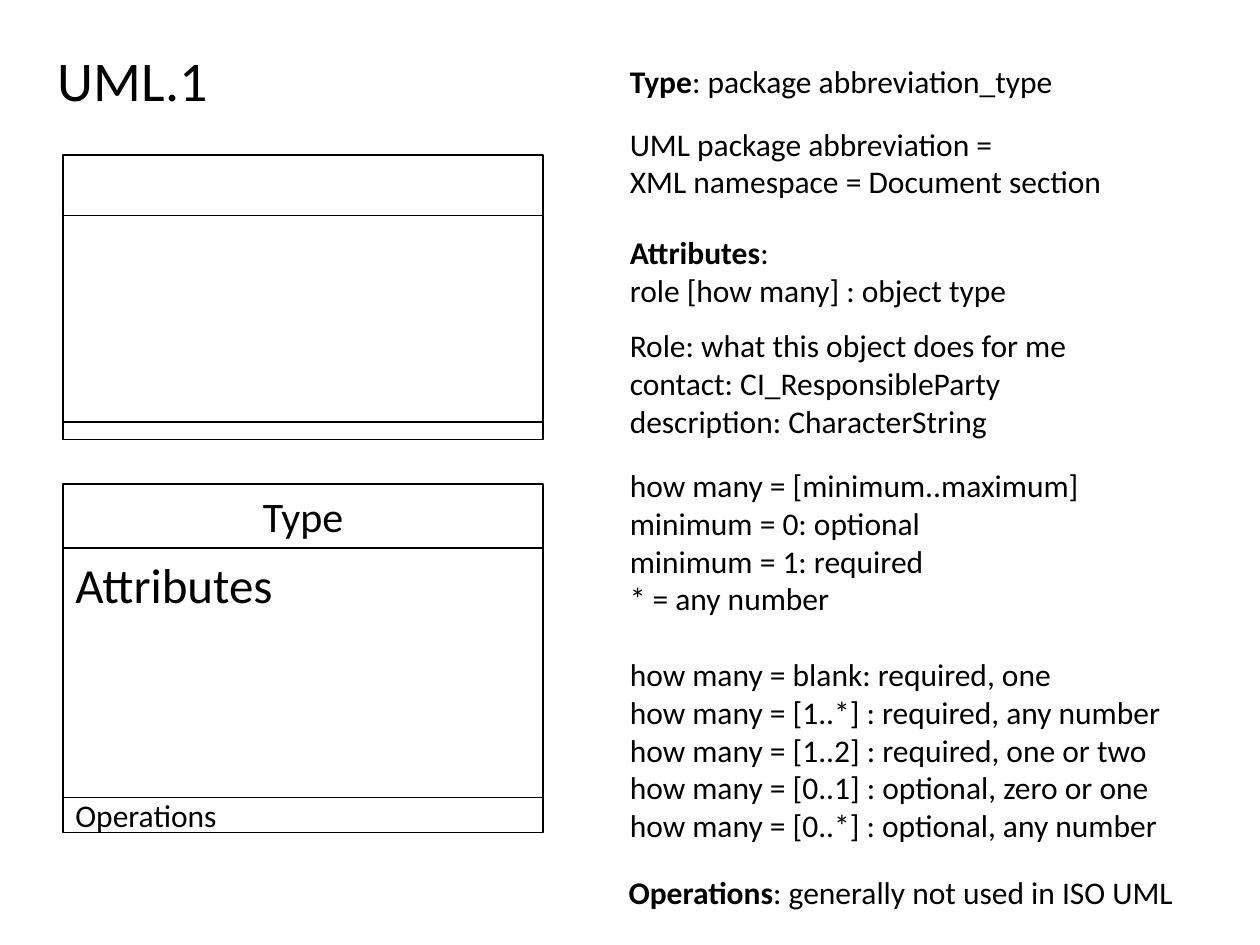
from pptx import Presentation
from pptx.dml.color import RGBColor
from pptx.enum.shapes import MSO_SHAPE as Shape
from pptx.enum.text import MSO_ANCHOR as Anchor, PP_ALIGN as Align
from pptx.util import Emu, Pt

EMU_PER_PX = 9144
FONT = "Calibri"
BLACK, WHITE = "000000", "FFFFFF"
LEFT, CLASS_WIDTH = 50, 381
NOTE_LEFT = 490
LINE_GAP = 21.6

EMPTY_CLASS = [(48, "", {}), (164, "", {}), (14, "", {})]
LABELLED_CLASS = [
    (51, "Type", {"size": 24, "align": Align.CENTER}),
    (198, "Attributes", {"size": 28}),
    (28, "Operations", {"anchor": Anchor.MIDDLE}),
]
NOTES = [
    ((NOTE_LEFT, 44, 390, 40), [[("Type", ": package abbreviation_type")]]),
    ((NOTE_LEFT, 94, 439, 71),
     [["UML package abbreviation =", "XML namespace = Document section"]]),
    ((NOTE_LEFT, 180, 341, 71), [[("Attributes", ":"), "role [how many] : object type"]]),
    ((NOTE_LEFT, 254, 400, 101),
     [["Role: what this object does for me", "contact: CI_ResponsibleParty",
       "description: CharacterString"]]),
    ((NOTE_LEFT, 365, 477, 313),
     [["how many = [minimum..maximum]", "minimum = 0: optional",
       "minimum = 1: required", "* = any number"],
      ["how many = blank: required, one", "how many = [1..*] : required, any number",
       "how many = [1..2] : required, one or two",
       "how many = [0..1] : optional, zero or one",
       "how many = [0..*] : optional, any number"]]),
    ((489, 688, 511, 40), [[("Operations", ": generally not used in ISO UML")]]),
]


def px(*lengths):
    """Turn pixel lengths into EMU."""
    return [Emu(length * EMU_PER_PX) for length in lengths]


def color(value):
    """Turn a hex string into a colour."""
    return RGBColor.from_string(value)


def add_run(paragraph, text, size=18, bold=False):
    """Append one formatted run to a paragraph."""
    run = paragraph.add_run()
    run.text = text
    run.font.name = FONT
    run.font.size = Pt(size)
    run.font.bold = bold
    run.font.color.rgb = color(BLACK)


def write(shape, groups, size=18, align=Align.LEFT, anchor=Anchor.TOP):
    """Write groups of lines into a shape; a pair is a bold term and its rest."""
    frame = shape.text_frame
    frame.word_wrap = True
    frame.vertical_anchor = anchor
    paragraph = None
    for group_index, lines in enumerate(groups):
        for line_index, line in enumerate(lines):
            paragraph = frame.add_paragraph() if paragraph else frame.paragraphs[0]
            paragraph.alignment = align
            if group_index and not line_index:
                paragraph.space_before = Pt(LINE_GAP)
            term, rest = line if isinstance(line, tuple) else ("", line)
            if term:
                add_run(paragraph, term, size, bold=True)
            add_run(paragraph, rest, size)


def add_title(slide, box, text):
    """Place and fill the title placeholder."""
    title = slide.shapes.title
    title.left, title.top, title.width, title.height = px(*box)
    write(title, [[text]], size=32, anchor=Anchor.MIDDLE)


def add_class_box(slide, left, top, width, rows):
    """Stack the compartments of a UML class in one group."""
    group = slide.shapes.add_group_shape()
    for height, text, text_format in rows:
        shape = group.shapes.add_shape(Shape.RECTANGLE, *px(left, top, width, height))
        shape.shadow.inherit = False
        shape.fill.solid()
        shape.fill.fore_color.rgb = color(WHITE)
        shape.line.color.rgb = color(BLACK)
        shape.line.width = Pt(0.75)
        if text:
            write(shape, [[text]], **text_format)
        top += height


def add_notes(slide, notes):
    """Place the explanations in the right column."""
    for box, groups in notes:
        write(slide.shapes.add_textbox(*px(*box)), groups)


def main():
    """Build and save the slide."""
    presentation = Presentation()
    presentation.slide_width, presentation.slide_height = px(1000, 750)
    slide = presentation.slides.add_slide(presentation.slide_layouts[5])
    add_class_box(slide, LEFT, 123, CLASS_WIDTH, EMPTY_CLASS)
    add_class_box(slide, LEFT, 384, CLASS_WIDTH, LABELLED_CLASS)
    add_notes(slide, NOTES)
    add_title(slide, (36, 21, 272, 83), "UML.1")
    presentation.save("out.pptx")


if __name__ == "__main__":
    main()
